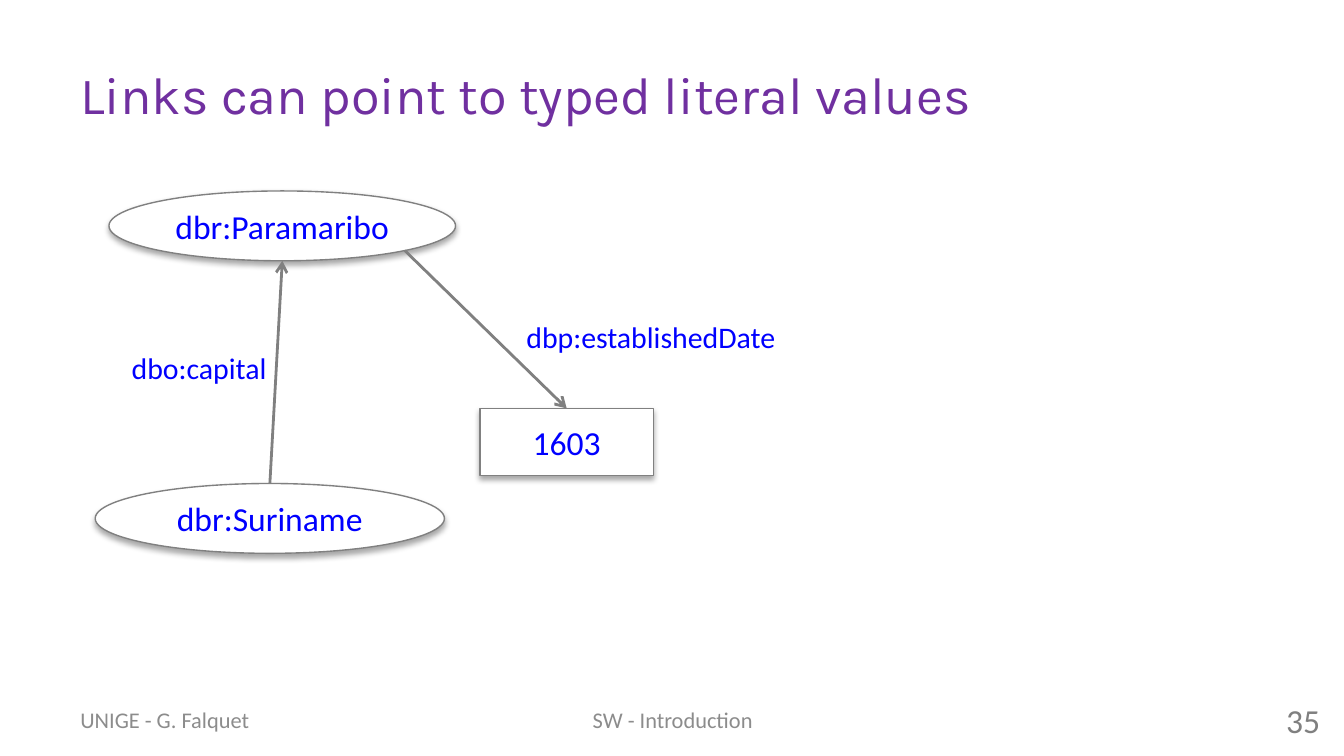
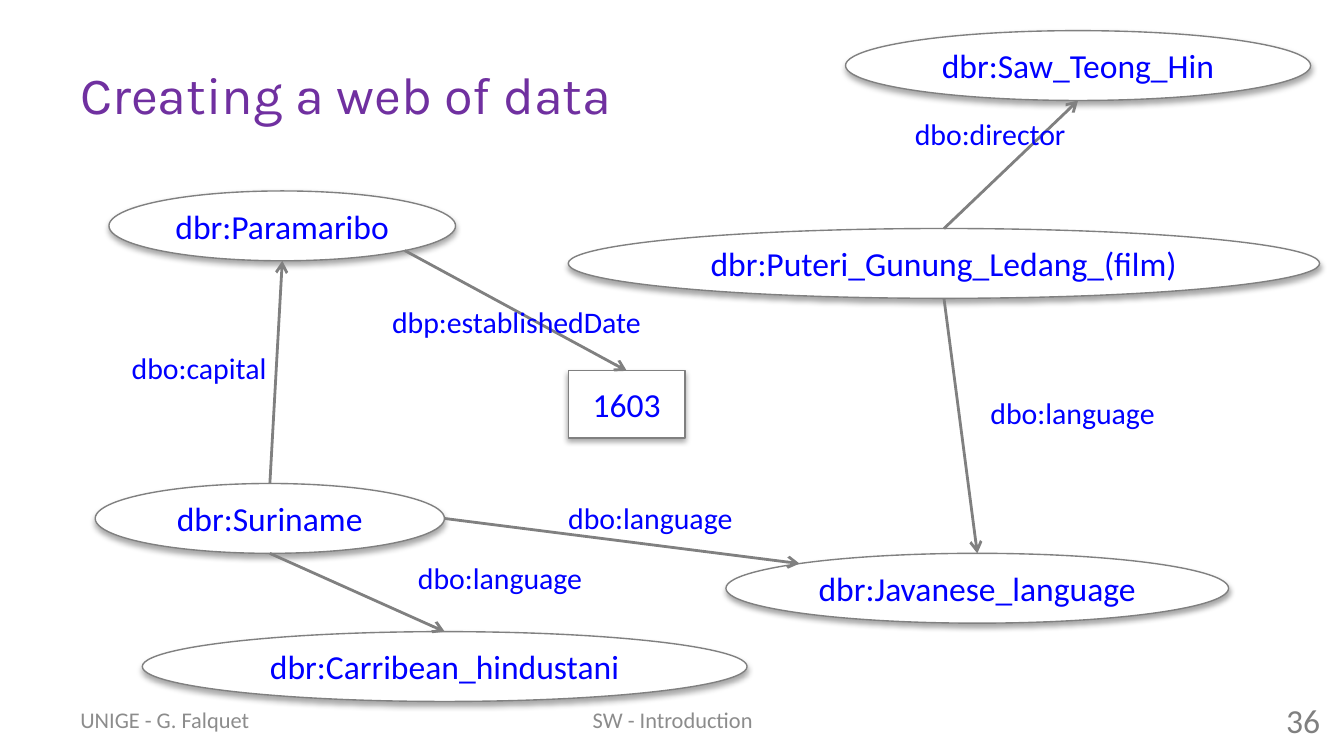
"""Build two slides that draw linked data as a graph of nodes and arrows."""
import lxml.etree
import pptx
import pptx.dml.color
import pptx.enum.shapes
import pptx.enum.text
import pptx.oxml
import pptx.oxml.ns
import pptx.util

Cm = pptx.util.Cm
Pt = pptx.util.Pt
ALIGN = pptx.enum.text.PP_ALIGN
ANCHOR = pptx.enum.text.MSO_ANCHOR
SHAPE = pptx.enum.shapes.MSO_SHAPE

TITLE = {"name": "Karla", "size": Pt(28), "color": "7030A0"}
NODE = {"name": "Calibri", "size": Pt(18), "color": "0000FF"}
LABEL = {"name": "Calibri", "size": Pt(16), "color": "0000FF"}
FOOTER = {"name": "Calibri", "size": Pt(12), "color": "8C8C8C"}
NUMBER = {"name": "Calibri", "size": Pt(18), "color": "808080"}

NODE_HEIGHT = 1.32
LITERAL_HEIGHT = 1.27
LABEL_HEIGHT = 0.94
FOOTER_TOP, FOOTER_HEIGHT = 13.23, 0.76

NEAR, FAR = 0.5 - 0.125 ** 0.5, 0.5 + 0.125 ** 0.5
SITES = {
    "top": (0.5, 0), "bottom": (0.5, 1), "right": (1, 0.5),
    "top left": (NEAR, NEAR), "bottom right": (FAR, FAR),
}

SHADOW = (
    f'<a:effectLst {pptx.oxml.ns.nsdecls("a")}>'
    f'<a:outerShdw blurRad="{Pt(3.1)}" dist="{Pt(1.8)}" dir="5400000" rotWithShape="0">'
    '<a:srgbClr val="000000"><a:alpha val="35000"/></a:srgbClr>'
    '</a:outerShdw></a:effectLst>'
)


def colour(hex_text):
    """Return the colour for a hex string."""
    return pptx.dml.color.RGBColor.from_string(hex_text)


class GraphDeck:
    """Hold the deck style and the page being drawn."""

    def __init__(self):
        """Start an empty widescreen deck."""
        self.deck = pptx.Presentation()
        self.deck.slide_width = Cm(25.4)
        self.deck.slide_height = Cm(14.29)
        self.page = None

    def add_page(self, title, number):
        """Add a page with its title and footers."""
        self.page = self.deck.slides.add_slide(self.deck.slide_layouts[6])
        self.add_text(title, (1.27, 0.58, 22.86, 2.39), TITLE)
        footers = (
            ("UNIGE - G. Falquet", 1.27, 5.92, FOOTER, ALIGN.LEFT),
            ("SW - Introduction", 8.69, 8.05, FOOTER, ALIGN.CENTER),
            (str(number), 19.28, 5.92, NUMBER, ALIGN.RIGHT),
        )
        for text, left, width, style, align in footers:
            place = (left, FOOTER_TOP, width, FOOTER_HEIGHT)
            self.add_text(text, place, style, align)

    def fill_text(self, box, text, style, align, frame_format):
        """Put one styled paragraph into a box."""
        for name, value in frame_format.items():
            setattr(box.text_frame, name, value)
        para = box.text_frame.paragraphs[0]
        para.alignment = align
        span = para.add_run()
        span.text = text
        for name, value in style.items():
            if name == "color":
                span.font.color.rgb = colour(value)
            else:
                setattr(span.font, name, value)

    def add_text(self, text, place, style, align=ALIGN.LEFT):
        """Add a wrapping text box centred vertically."""
        box = self.page.shapes.add_textbox(*map(Cm, place))
        frame_format = {"word_wrap": True, "vertical_anchor": ANCHOR.MIDDLE}
        self.fill_text(box, text, style, align, frame_format)

    def add_label(self, text, left, top, width):
        """Add the name of a link."""
        place = (left, top, width, LABEL_HEIGHT)
        box = self.page.shapes.add_textbox(*map(Cm, place))
        fit = pptx.enum.text.MSO_AUTO_SIZE.SHAPE_TO_FIT_TEXT
        frame_format = {"word_wrap": False, "auto_size": fit}
        self.fill_text(box, text, LABEL, ALIGN.LEFT, frame_format)

    def add_node(self, text, left, top, width, height=NODE_HEIGHT, kind=SHAPE.OVAL):
        """Add an outlined node with a soft shadow."""
        box = self.page.shapes.add_shape(kind, *map(Cm, (left, top, width, height)))
        box.fill.solid()
        box.fill.fore_color.rgb = colour("FFFFFF")
        box.line.color.rgb = colour("808080")
        box.line.width = Pt(0.75)
        box._element.spPr.append(pptx.oxml.parse_xml(SHADOW))
        frame_format = {"word_wrap": False, "vertical_anchor": ANCHOR.MIDDLE}
        self.fill_text(box, text, NODE, ALIGN.CENTER, frame_format)
        return box

    def add_literal(self, text, left, top, width):
        """Add a rectangular node for a literal value."""
        return self.add_node(text, left, top, width, LITERAL_HEIGHT, SHAPE.RECTANGLE)

    def add_link(self, source, source_site, target, target_site):
        """Draw an arrow between named sites of two nodes."""
        points = []
        for box, site in ((source, source_site), (target, target_site)):
            across, down = SITES[site]
            points += [int(box.left + across * box.width), int(box.top + down * box.height)]
        straight = pptx.enum.shapes.MSO_CONNECTOR.STRAIGHT
        link = self.page.shapes.add_connector(straight, *points)
        link.line.color.rgb = colour("808080")
        link.line.width = Pt(1.5)
        qn = pptx.oxml.ns.qn
        outline = link.line._get_or_add_ln()
        lxml.etree.SubElement(outline, qn("a:tailEnd"), type="arrow")
        lxml.etree.SubElement(link._element.spPr, qn("a:effectLst"))

    def add_country(self, literal_place, date_label_place):
        """Draw the country, its capital and the founding year."""
        capital = self.add_node("dbr:Paramaribo", 2.06, 3.61, 6.55)
        country = self.add_node("dbr:Suriname", 1.8, 9.14, 6.6)
        year = self.add_literal("1603", *literal_place)
        self.add_link(country, "top", capital, "bottom")
        self.add_link(capital, "bottom right", year, "top")
        self.add_label("dbo:capital", 2.24, 6.48, 3.1)
        self.add_label("dbp:establishedDate", *date_label_place, 5.31)
        return country


def main():
    """Draw both pages and save the deck."""
    graph = GraphDeck()
    graph.add_page("Links can point to typed literal values", 35)
    graph.add_country((9.07, 7.72, 3.28), (9.7, 5.89))

    graph.add_page("Creating a web of data", 36)
    country = graph.add_country((10.74, 7.01, 2.21), (7.16, 5.61))
    javanese = graph.add_node("dbr:Javanese_language", 13.72, 10.46, 9.5)
    hindustani = graph.add_node("dbr:Carribean_hindustani", 2.69, 11.94, 11.43)
    film = graph.add_node("dbr:Puteri_Gunung_Ledang_(film)", 10.74, 4.32, 14.2)
    director = graph.add_node("dbr:Saw_Teong_Hin", 15.98, 0.58, 8.79)
    graph.add_link(country, "bottom", hindustani, "top")
    graph.add_link(country, "right", javanese, "top left")
    graph.add_link(film, "bottom", javanese, "top")
    graph.add_link(film, "top", director, "bottom")
    for left, top in ((7.65, 10.46), (10.49, 9.32), (18.47, 7.34)):
        graph.add_label("dbo:language", left, top, 3.66)
    graph.add_label("dbo:director", 17.04, 2.06, 3.4)
    graph.deck.save("out.pptx")


if __name__ == "__main__":
    main()
